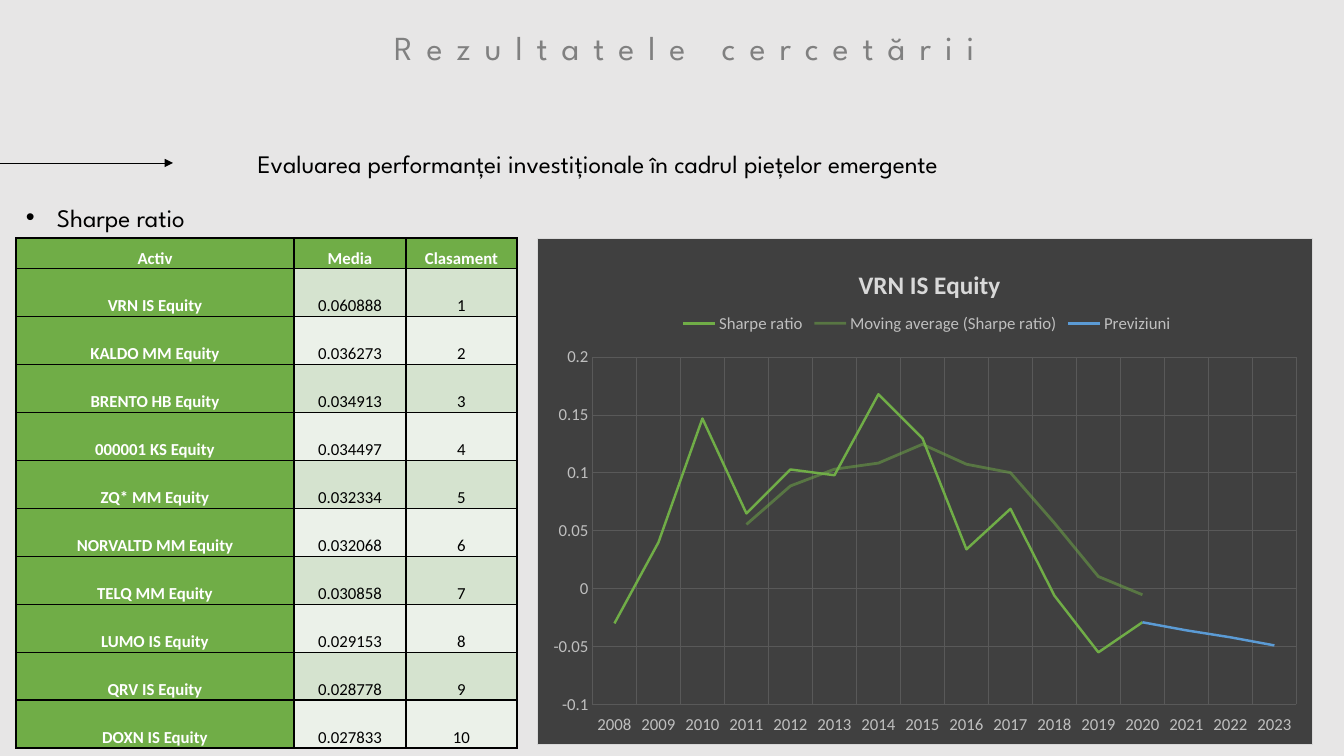
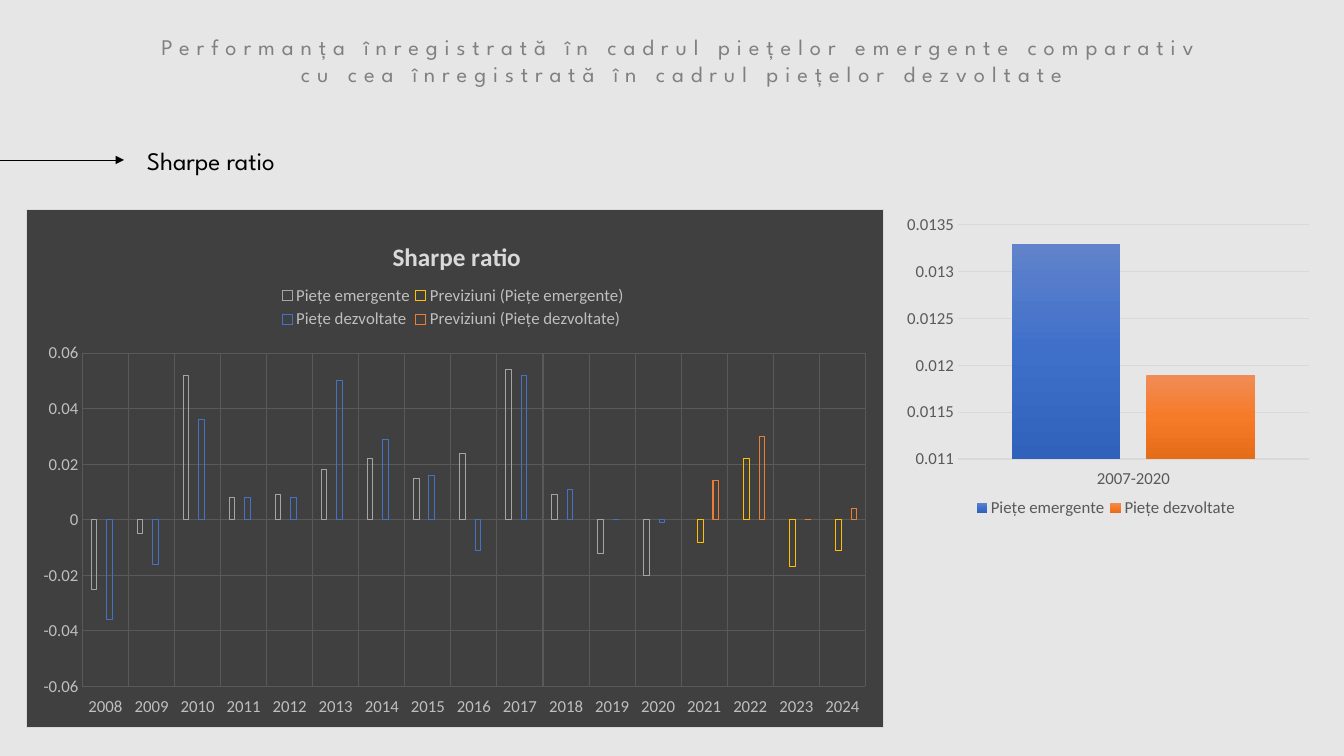
from pptx import Presentation
from pptx.chart.data import CategoryChartData
from pptx.dml.color import RGBColor
from pptx.enum.chart import (XL_CHART_TYPE, XL_LEGEND_POSITION, XL_MARKER_STYLE,
                             XL_TICK_LABEL_POSITION, XL_TICK_MARK)
from pptx.enum.shapes import MSO_CONNECTOR
from pptx.enum.text import MSO_ANCHOR, MSO_AUTO_SIZE, PP_ALIGN
from pptx.oxml import parse_xml
from pptx.oxml.ns import nsdecls, qn
from pptx.util import Emu, Pt

SLIDE_W, SLIDE_H = 1344, 756
EMU_PER_PX = 12192000 / SLIDE_W

HEADING_FONT, DATA_FONT = "League Spartan", "Calibri"
BACKGROUND, BLACK, WHITE = "E7E6E6", "000000", "FFFFFF"
TITLE_GREY, PANEL, PANEL_GRID = "808080", "404040", "595959"
PANEL_TEXT, LIGHT_TEXT, LIGHT_GREY = "BFBFBF", "595959", "D9D9D9"
GREEN, BLUE = "70AD47", "5B9BD5"
ROW_FILLS = ("D5E3CF", "EBF1E9")

TOP_ASSET = "VRN IS Equity"
RANKING = [
    (TOP_ASSET, "0.060888"), ("KALDO MM Equity", "0.036273"),
    ("BRENTO HB Equity", "0.034913"), ("000001 KS Equity", "0.034497"),
    ("ZQ* MM Equity", "0.032334"), ("NORVALTD MM Equity", "0.032068"),
    ("TELQ MM Equity", "0.030858"), ("LUMO IS Equity", "0.029153"),
    ("QRV IS Equity", "0.028778"), ("DOXN IS Equity", "0.027833"),
]


def px(length):
    return Emu(round(length * EMU_PER_PX))


def px_box(box):
    return [px(length) for length in box]


def rgb(color):
    return RGBColor.from_string(color)


def xml(tag, body="", **attributes):
    """Build one element in the drawing or chart namespace."""
    listed = "".join(f' {key}="{value}"' for key, value in attributes.items())
    return parse_xml(f"<{tag} {nsdecls('a', 'c')}{listed}>{body}</{tag}>")


def solid_xml(color, alpha=100):
    return (f'<a:solidFill><a:srgbClr val="{color}">'
            f'<a:alpha val="{alpha * 1000}"/></a:srgbClr></a:solidFill>')


def line_xml(color, width, alpha=100):
    return f'<a:ln w="{Pt(width)}">{solid_xml(color, alpha)}</a:ln>'


def set_font(font, size, color, name=DATA_FONT, bold=False):
    font.size, font.name, font.bold = Pt(size), name, bold
    font.color.rgb = rgb(color)


def write(frame, text, size=18, color=BLACK, name=HEADING_FONT, bold=False,
          align=PP_ALIGN.LEFT, tracking=0, line_spacing=None, bullet_indent=0):
    paragraph = frame.paragraphs[0]
    if bullet_indent:
        properties = paragraph._p.get_or_add_pPr()
        properties.set("marL", str(px(bullet_indent)))
        properties.set("indent", str(-px(bullet_indent)))
        properties.append(xml("a:buFont", typeface="Arial"))
        properties.append(xml("a:buChar", char="•"))
    paragraph.alignment = align
    if line_spacing:
        paragraph.line_spacing = line_spacing
    run = paragraph.add_run()
    run.text = text
    set_font(run.font, size, color, name, bold)
    if tracking:
        run._r.get_or_add_rPr().set("spc", str(tracking * 100))


def add_text(slide, box, text, **style):
    frame = slide.shapes.add_textbox(*px_box(box)).text_frame
    frame.word_wrap = True
    frame.auto_size = MSO_AUTO_SIZE.SHAPE_TO_FIT_TEXT
    write(frame, text, **style)


def add_titled_slide(deck, title, box, size, tracking):
    slide = deck.slides.add_slide(deck.slide_layouts[6])
    slide.background.fill.solid()
    slide.background.fill.fore_color.rgb = rgb(BACKGROUND)
    add_text(slide, box, title, size=size, color=TITLE_GREY,
             align=PP_ALIGN.CENTER, tracking=tracking)
    return slide


def add_edge_arrow(slide, length, y):
    """Draw an arrow in from the left edge of the slide."""
    arrow = slide.shapes.add_connector(MSO_CONNECTOR.STRAIGHT, 0, px(y), px(length), px(y))
    arrow.line.width = Pt(0.5)
    arrow.line.color.rgb = rgb(BLACK)
    arrow.line._get_or_add_ln().append(xml("a:tailEnd", type="triangle"))
    arrow._element.spPr.append(xml("a:effectLst"))


def fill_cell(cell, text, fill, color, bold):
    cell.margin_left = cell.margin_right = px(6)
    cell.margin_top = cell.margin_bottom = 0
    cell.vertical_anchor = MSO_ANCHOR.BOTTOM
    properties = cell._tc.get_or_add_tcPr()
    for side in "LRTB":
        properties.append(xml(f"a:ln{side}", solid_xml(BLACK), w=Pt(1)))
    cell.fill.solid()
    cell.fill.fore_color.rgb = rgb(fill)
    write(cell.text_frame, text, size=12, color=color, name=DATA_FONT, bold=bold,
          align=PP_ALIGN.CENTER, line_spacing=1.5)


def add_ranking_table(slide, left, top):
    widths, heights = (278, 112, 111), [28] + [48] * len(RANKING)
    rows = [("Activ", "Media", "Clasament")]
    rows += [(asset, mean, str(rank)) for rank, (asset, mean) in enumerate(RANKING, 1)]
    table = slide.shapes.add_table(len(rows), len(widths), *px_box(
        (left, top, sum(widths), sum(heights)))).table
    for column, width in zip(table.columns, widths):
        column.width = px(width)
    for r, (row, height) in enumerate(zip(rows, heights)):
        table.rows[r].height = px(height)
        for c, text in enumerate(row):
            heading = r == 0 or c == 0
            fill_cell(table.cell(r, c), text, GREEN if heading else ROW_FILLS[(r - 1) % 2],
                      WHITE if heading else BLACK, heading)


def layout_xml(chart_size, area, inner=False):
    """Express an area, in px from the chart's corner, as a manual layout."""
    target = '<c:layoutTarget val="inner"/>' if inner else ""
    modes = '<c:xMode val="edge"/><c:yMode val="edge"/>'
    shares = "".join(f'<c:{key} val="{length / chart_size[i % 2]:.4f}"/>'
                     for i, (key, length) in enumerate(zip("xywh", area)))
    return xml("c:layout", f"<c:manualLayout>{target}{modes}{shares}</c:manualLayout>")


def replace_layout(parent, after, layout):
    for old in parent.findall(qn("c:layout")):
        parent.remove(old)
    if after is None:
        parent.insert(0, layout)
    else:
        parent.find(qn(after)).addnext(layout)


def style_axes(chart, scale, ink, grid, dark):
    category, value = chart.category_axis, chart.value_axis
    value.minimum_scale, value.maximum_scale, value.major_unit = scale
    value.tick_labels.number_format = "General"
    value.tick_labels.number_format_is_linked = False
    category.tick_label_position = XL_TICK_LABEL_POSITION.LOW
    category.has_major_gridlines = dark
    value.has_major_gridlines = True
    for axis in (category, value):
        axis.major_tick_mark = axis.minor_tick_mark = XL_TICK_MARK.NONE
        set_font(axis.tick_labels.font, 12, ink)
        axis.format.line.fill.background()
        if axis.has_major_gridlines:
            axis.major_gridlines.format.line.color.rgb = rgb(grid)
            axis.major_gridlines.format.line.width = Pt(0.75)
    if not dark:
        category.format.line.color.rgb = rgb(grid)
        category.format.line.width = Pt(1)


def add_chart(slide, box, kind, categories, series, scale, plot_area, legend_area,
              title=None, title_at=None):
    """Add a chart; a titled one stands on a dark panel."""
    dark = title is not None
    ink, grid = (PANEL_TEXT, PANEL_GRID) if dark else (LIGHT_TEXT, LIGHT_GREY)
    data = CategoryChartData()
    data.categories = categories
    for name, values in series:
        data.add_series(name, values)
    chart = slide.shapes.add_chart(kind, *px_box(box), data).chart
    set_font(chart.font, 10, BLACK)
    chart.plots[0].vary_by_categories = False
    style_axes(chart, scale, ink, grid, dark)

    chart.has_legend = True
    chart.legend.position = XL_LEGEND_POSITION.TOP if dark else XL_LEGEND_POSITION.BOTTOM
    chart.legend.include_in_layout = False
    set_font(chart.legend.font, 12, ink)
    size = box[2:]
    replace_layout(chart.legend._element, "c:legendPos", layout_xml(size, legend_area))

    chart.has_title = dark
    if dark:
        write(chart.chart_title.text_frame, title, color=LIGHT_GREY, name=DATA_FONT,
              bold=True, align=PP_ALIGN.CENTER)
        replace_layout(chart.chart_title._element, "c:tx", layout_xml(size, title_at))

    space = chart._chartSpace
    plot = space.chart.plotArea
    replace_layout(plot, None, layout_xml(size, plot_area, inner=True))
    plot.append(xml("c:spPr", "<a:noFill/><a:ln><a:noFill/></a:ln>"))
    panel = (solid_xml(PANEL) + line_xml(LIGHT_GREY, 0.75) if dark
             else "<a:noFill/><a:ln><a:noFill/></a:ln>")
    space.chart.addnext(xml("c:spPr", panel))
    return chart


def set_columns(chart, gap, overlap):
    chart.plots[0].gap_width, chart.plots[0].overlap = gap, overlap


def years(first, last):
    return [str(year) for year in range(first, last + 1)]


def add_asset_chart(slide, box):
    history = [-0.03, 0.04, 0.147, 0.065, 0.103, 0.098, 0.168, 0.13,
               0.034, 0.069, -0.006, -0.055, -0.029]
    forecast = [-0.029, -0.036, -0.042, -0.049]
    chart = add_chart(
        slide, box, XL_CHART_TYPE.LINE, years(2008, 2023),
        [("Sharpe ratio", history + [None] * 3), ("Previziuni", [None] * 12 + forecast)],
        (-0.1, 0.2, 0.05), (55, 119, 705, 348), (140, 72, 500, 26),
        title=TOP_ASSET, title_at=(317, 24))
    for series, color in zip(chart.series, (GREEN, BLUE)):
        series.smooth = False
        series.marker.style = XL_MARKER_STYLE.NONE
        series.format.line.color.rgb = rgb(color)
        series.format.line.width = Pt(1.75)
    trend = xml("c:trendline", f'<c:spPr>{line_xml(GREEN, 2, 50)}</c:spPr>'
                '<c:trendlineType val="movingAvg"/><c:period val="4"/>'
                '<c:dispRSqr val="0"/><c:dispEq val="0"/>')
    chart.series[0]._element.find(qn("c:cat")).addprevious(trend)


def add_market_chart(slide, box):
    emerging = [-0.025, -0.005, 0.052, 0.008, 0.009, 0.018, 0.022, 0.015,
                0.024, 0.054, 0.009, -0.012, -0.02]
    developed = [-0.036, -0.016, 0.036, 0.008, 0.008, 0.05, 0.029, 0.016,
                 -0.011, 0.052, 0.011, 0, -0.001]
    before, after = [None] * 13, [None] * 4
    chart = add_chart(
        slide, box, XL_CHART_TYPE.COLUMN_CLUSTERED, years(2008, 2024),
        [("Piețe emergente", emerging + after),
         ("Previziuni (Piețe emergente)", before + [-0.008, 0.022, -0.017, -0.011]),
         ("Piețe dezvoltate", developed + after),
         ("Previziuni (Piețe dezvoltate)", before + [0.014, 0.03, 0, 0.004])],
        (-0.06, 0.06, 0.02), (56, 144, 784, 334), (250, 72, 354, 52),
        title="Sharpe ratio", title_at=(362, 25))
    set_columns(chart, 315, -40)
    for series, color in zip(chart.series, ("A5A5A5", "FFC000", "4472C4", "ED7D31")):
        series.invert_if_negative = False
        series.format.fill.background()
        series.format.line.color.rgb = rgb(color)
        series.format.line.width = Pt(0.75)


def add_average_chart(slide, box):
    chart = add_chart(
        slide, box, XL_CHART_TYPE.COLUMN_CLUSTERED, ["2007-2020"],
        [("Piețe emergente", [0.0133]), ("Piețe dezvoltate", [0.0119])],
        (0.011, 0.0135, 0.0005), (60, 16, 351, 234), (73, 290, 270, 24))
    set_columns(chart, 100, -24)
    shades = (("6183CB", "3E70CA", "3062BB"), ("F18C57", "F67B28", "E56C19"))
    for series, colors in zip(chart.series, shades):
        series.invert_if_negative = False
        series.format.line.fill.background()
        stops = "".join(f'<a:gs pos="{i * 50000}"><a:srgbClr val="{color}"/></a:gs>'
                        for i, color in enumerate(colors))
        series._element.get_or_add_spPr().insert(0, xml(
            "a:gradFill", f'<a:gsLst>{stops}</a:gsLst><a:lin ang="5400000" scaled="0"/>'))


def build_results(deck):
    slide = add_titled_slide(deck, "Rezultatele cercetării", (140, 22, 1089, 50), 24, 10)
    add_edge_arrow(slide, 173, 163)
    add_text(slide, (173, 143, 850, 40),
             "Evaluarea performanței investiționale în cadrul piețelor emergente",
             align=PP_ALIGN.CENTER)
    add_text(slide, (16, 197, 360, 40), "Sharpe ratio", bullet_indent=31)
    add_ranking_table(slide, 16, 238)
    add_asset_chart(slide, (537, 238, 776, 507))


def build_comparison(deck):
    slide = add_titled_slide(
        deck, "Performanța înregistrată în cadrul piețelor emergente comparativ "
        "cu cea înregistrată în cadrul piețelor dezvoltate", (134, 28, 1096, 95), 16, 5)
    add_edge_arrow(slide, 124, 160)
    add_text(slide, (137, 140, 173, 40), "Sharpe ratio")
    add_market_chart(slide, (26, 209, 858, 519))
    add_average_chart(slide, (898, 209, 419, 316))


def main():
    deck = Presentation()
    deck.slide_width, deck.slide_height = px(SLIDE_W), px(SLIDE_H)
    build_results(deck)
    build_comparison(deck)
    deck.save("out.pptx")


if __name__ == "__main__":
    main()
